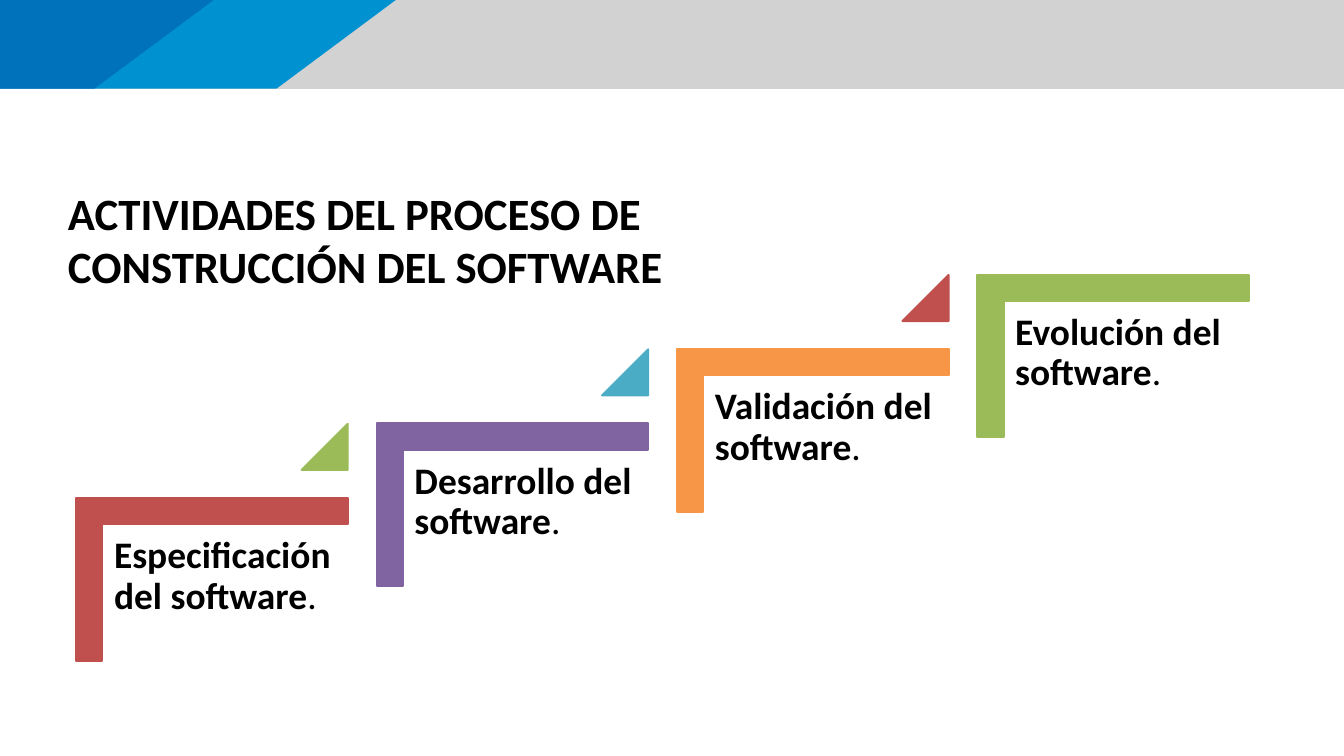
from pptx import Presentation
from pptx.dml.color import RGBColor
from pptx.enum.shapes import MSO_SHAPE
from pptx.util import Pt

COLORS = {
    "gray": "D2D2D3", "sky": "0091D1", "blue": "0071BB", "black": "000000",
    "red": "C0504D", "purple": "8064A2", "orange": "F79646",
    "green": "9BBB59", "teal": "4BACC6",
}
STEPS = [
    ("Especificación del software", "red", "green"),
    ("Desarrollo del software", "purple", "teal"),
    ("Validación del software", "orange", "red"),
    ("Evolución del software", "green", None),
]


def paint(s, color, line=None):
    """Fill a shape, with an outline of the same colour if a width is given."""
    s.shadow.inherit = False
    s.fill.solid()
    s.fill.fore_color.rgb = RGBColor.from_string(COLORS[color])
    if line:
        s.line.color.rgb = RGBColor.from_string(COLORS[color])
        s.line.width = Pt(line)
    else:
        s.line.fill.background()


def add_text(slide, box, text, size, inset=(7.2, 3.6), spacing=None, end=""):
    """Add a bold text box whose closing characters are in regular weight."""
    tf = slide.shapes.add_textbox(*map(Pt, box)).text_frame
    tf.word_wrap = True
    tf.margin_left = tf.margin_right = Pt(inset[0])
    tf.margin_top = tf.margin_bottom = Pt(inset[1])
    p = tf.paragraphs[0]
    p.line_spacing = spacing
    for part, bold in ((text, True), (end, False)):
        if part:
            r = p.add_run()
            r.text = part
            r.font.name = "Calibri"
            r.font.size = Pt(size)
            r.font.bold = bold
            r.font.color.rgb = RGBColor.from_string(COLORS["black"])


def add_header(slide, left, top, width, height):
    """Draw the header band and its slanted stripes."""
    bands = [("gray", width, width), ("sky", 401.76, 281), ("blue", 216.72, 96.5)]
    for color, upper, lower in bands:
        fb = slide.shapes.build_freeform(left, top, scale=Pt(1))
        fb.add_line_segments([(left + upper, top), (left + lower, top + height),
                              (left, top + height)])
        paint(fb.convert_to_shape(), color)


def add_step(slide, left, top, width, height, text, color, marker):
    """Draw one stair step: corner, label and the marker to the next step."""
    s = slide.shapes.add_shape(
        MSO_SHAPE.CORNER, Pt(left + (width - height) / 2),
        Pt(top + (height - width) / 2), Pt(height), Pt(width))
    s.rotation = 90
    s.adjustments[0] = s.adjustments[1] = 0.161
    paint(s, color, 2)
    add_text(slide, (left + 27, top + 27.7, 249, 218), text, 38,
             inset=(11.5, 11.5), spacing=0.9, end=".")
    if marker:
        side = 46.8
        s = slide.shapes.add_shape(
            MSO_SHAPE.ISOSCELES_TRIANGLE, Pt(left + width - side),
            Pt(top - 75.2), Pt(side), Pt(side))
        s.adjustments[0] = 1
        paint(s, marker, 2)


def add_stairs(slide, left, top, step_x, step_y):
    """Place the steps at equal offsets, rising to the right."""
    for i, step in enumerate(STEPS):
        add_step(slide, left + i * step_x, top - i * step_y, 275.8, 165.6, *step)


def main():
    """Build the slide and save it."""
    prs = Presentation()
    prs.slide_width, prs.slide_height = Pt(1365.12), Pt(768.24)
    slide = prs.slides.add_slide(prs.slide_layouts[6])
    add_header(slide, 0, 0, 1365.12, 89.5)
    add_text(slide, (61.9, 185, 733.7, 117.4),
             "ACTIVIDADES DEL PROCESO DE CONSTRUCCIÓN DEL SOFTWARE", 45.5)
    add_stairs(slide, 77.4, 505.8, 305.1, 75.6)
    prs.save("out.pptx")


if __name__ == "__main__":
    main()
